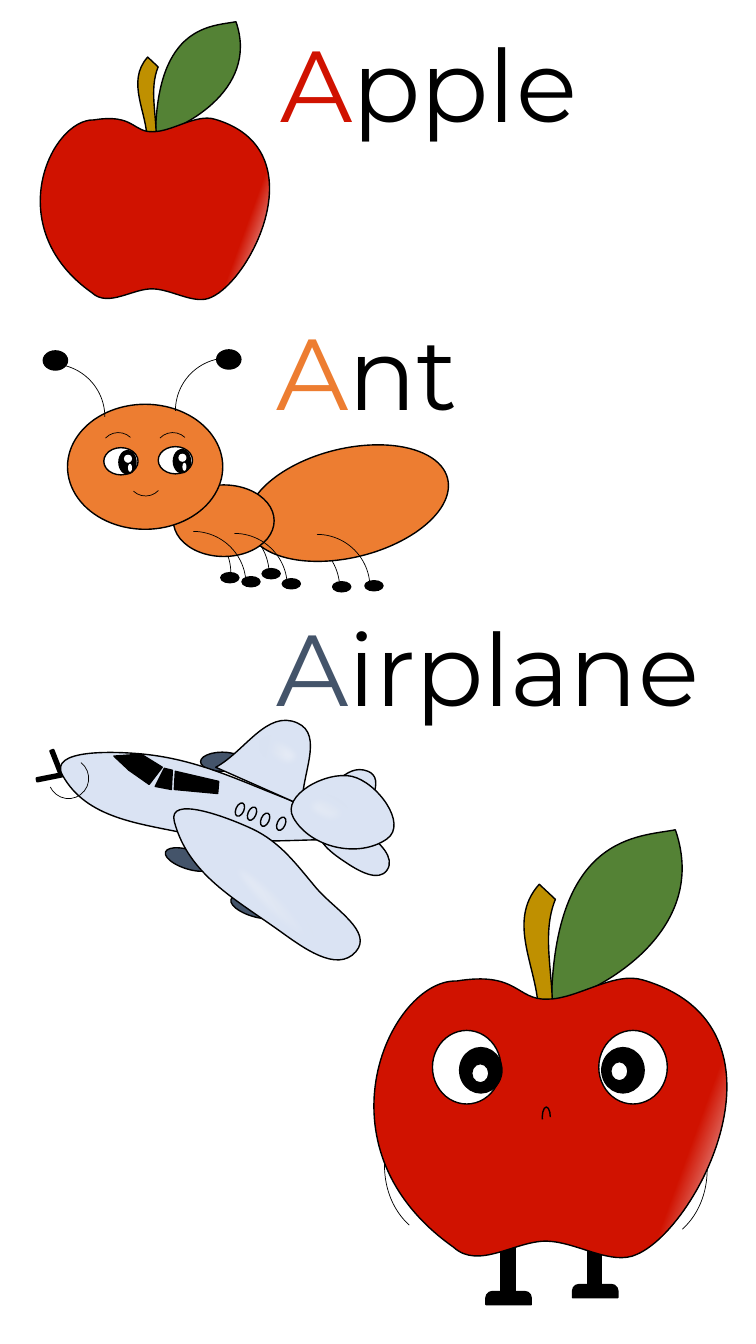
from math import dist, hypot
from lxml.etree import SubElement
from pptx import Presentation
from pptx.dml.color import RGBColor
from pptx.enum.shapes import MSO_SHAPE
from pptx.enum.text import MSO_AUTO_SIZE
from pptx.oxml.ns import qn
from pptx.util import Inches, Pt

BLACK = RGBColor(0x00, 0x00, 0x00)
WHITE = RGBColor(0xFF, 0xFF, 0xFF)
RED = RGBColor(0xD0, 0x12, 0x00)
GREEN = RGBColor(0x54, 0x82, 0x35)
GOLD = RGBColor(0xBF, 0x90, 0x00)
ORANGE = RGBColor(0xED, 0x7D, 0x31)
SLATE = RGBColor(0x44, 0x54, 0x6A)
SKY = RGBColor(0xDA, 0xE3, 0xF3)
PALE = RGBColor(0xF6, 0xF8, 0xFC)

OVAL, ARC, RECT = MSO_SHAPE.OVAL, MSO_SHAPE.ARC, MSO_SHAPE.RECTANGLE
ROUND, FOOT = MSO_SHAPE.ROUNDED_RECTANGLE, MSO_SHAPE.ROUND_2_SAME_RECTANGLE
PATH = "path"

WORDS = [
    ("A", "pple", RED, (2.68, 0.17, 3.43, 1.31)),
    ("A", "nt", ORANGE, (2.64, 3.02, 2.37, 1.28)),
    ("A", "irplane", SLATE, (2.64, 5.96, 4.82, 1.31)),
]

LEAF = [(5.47, 9.95), (5.5, 8.27, 6.34, 8.3, 6.7, 8.23), (7.07, 9.3, 5.81, 9.9, 5.47, 9.95)]
STEM = [(5.35, 8.77), (5.51, 8.92), (5.37, 9.26, 5.49, 9.66, 5.48, 10.03),
        (5.34, 10.05), (5.35, 9.62, 5.01, 9.15, 5.35, 8.77)]
SKIN = [(4.53, 9.73), (5.14, 9.63, 5.12, 9.92, 5.43, 9.91),
        (5.73, 9.91, 6.09, 9.63, 6.38, 9.72), (7.94, 10.18, 6.94, 12.17, 6.32, 12.44),
        (6.07, 12.56, 5.73, 12.32, 5.43, 12.31), (5.12, 12.3, 4.75, 12.6, 4.5, 12.37),
        (3.08, 11.37, 3.88, 9.71, 4.53, 9.73)]
FRUIT = [(PATH, LEAF, GREEN, {}), (PATH, STEM, GOLD, {}),
         (PATH, SKIN, (0.83, RED, PALE, 20), {})]
SCALE, BIG, SMALL = 1.54, (3.71, 9.7), (0.4, 1.17)

ARM = {"adj": (99.015, 0)}
EYES = [(4.29, 4.56, 4.68, 10.55), (5.94, 5.97, 6.06, 10.53)]
LEGS = [(5.83, 12.03), (4.97, 12.1)]

BACK = [(1.24, 5.16), (1.62, 5.17), (2.32, 5.31)]
FRONT = [(2.62, 5.3), (1.8, 5.29), (1.39, 5.27)]
FEET = [(2.19, 5.68), (2.4, 5.72), (2.6, 5.64), (2.8, 5.74), (3.3, 5.77), (3.62, 5.76)]
TIPS = [(2.15, 3.47), (0.43, 3.48)]
LOOKS = [(1.57, 4.43), (1.03, 4.44)]

HULL = [(3.59, 8.33), (2.81, 7.91), (1.42, 7.48), (0.62, 7.69), (1.86, 8.27)]
FIN = [(3.61, 8.22), (3.65, 7.65), (3.06, 8)]
FLAP = [(3.84, 8.63), (3.64, 8.27), (3.19, 8.2), (3.44, 8.56)]
FAR = [(3, 7.99), (2.95, 7.17), (2.14, 7.61)]
WING = [(3.53, 9.44), (3.14, 8.81), (2.5, 8.22), (1.73, 8.15), (2.77, 9.23)]
TAIL = [(3.49, 7.7), (2.91, 8.11), (3.84, 8.32)]
PANES = [
    [(2.17, 7.75), (1.74, 7.65), (1.73, 7.83), (2.16, 7.87)],
    [(1.7, 7.83), (1.54, 7.8), (1.63, 7.62), (1.71, 7.64)],
    [(1.61, 7.61), (1.4, 7.48), (1.13, 7.5), (1.28, 7.64), (1.48, 7.78)],
]
PORTS = [(2.75, 8.1), (2.59, 8.06), (2.46, 8), (2.34, 7.96)]
SHINES = [((3.09, 7.77, 0.31, 0.5), 103, 20), ((2.55, 8.35, 0.31, 1.22), 134.3, 20),
          ((2.62, 7.2, 0.31, 0.5), 292.3, 80)]


def smooth(knots, sharp=()):
    size, arms = len(knots), []
    for i, (x, y) in enumerate(knots):
        (px, py), (nx, ny) = knots[i - 1], knots[(i + 1) % size]
        span = hypot(nx - px, ny - py)
        arms.append(((nx - px) / span, (ny - py) / span))
    segs = [knots[0]]
    for i, start in enumerate(knots):
        j = (i + 1) % size
        end = knots[j]
        reach = dist(start, end) * 0.36
        chord = tuple((b - a) / dist(start, end) for a, b in zip(start, end))
        out, into = (chord if k in sharp else arms[k] for k in (i, j))
        segs.append((*(a + reach * d for a, d in zip(start, out)),
                     *(b - reach * d for b, d in zip(end, into)), *end))
    return segs


def spread(kind, spots, size, fill, **opts):
    return [(kind, (*spot, *size), fill, opts) for spot in spots]


def shrink(parts):
    return [(kind, [tuple(SMALL[i % 2] + (v - BIG[i % 2]) / SCALE for i, v in enumerate(seg))
                    for seg in segs], fill, opts) for kind, segs, fill, opts in parts]


def make_hero():
    parts = spread(RECT, LEGS, (0.14, 0.75), BLACK)
    parts += [(ARC, (3.67, 10.36, 2.38, 1.82), None, {"turn": 312.2, "flip": "flipH", **ARM}),
              (ARC, (4.78, 10.4, 2.38, 1.82), None, {"turn": 47.8, **ARM}), *FRUIT]
    for white, pupil, glint, top in EYES:
        parts += [(OVAL, (white, 10.22, 0.68, 0.73), WHITE, {}),
                  (OVAL, (pupil, 10.39, 0.42, 0.45), BLACK, {}),
                  (OVAL, (glint, top, 0.17, 0.19), WHITE, {})]
    parts.append((ARC, (5.38, 10.98, 0.08, 0.2), None,
                  {"adj": (90, -90), "line": 1}))
    return parts + spread(FOOT, [(x - 0.15, y + 0.71) for x, y in LEGS],
                          (0.45, 0.13), BLACK, adj=(0.5, 0))


def make_ant():
    leg, brow = (1.05, 1.05), (0.35, 0.35)
    parts = spread(ARC, BACK, leg, None)
    parts += [(OVAL, (2.43, 4.45, 2.04, 1.08), ORANGE, {"turn": 346.2}),
              (OVAL, (1.72, 4.81, 1, 0.71), ORANGE, {}),
              (OVAL, (0.67, 4.01, 1.54, 1.24), ORANGE, {})]
    parts += spread(ARC, FRONT, leg, None)
    parts += spread(ARC, [(1.74, 3.55)], leg, None, flip="flipH")
    parts += spread(ARC, [(-0.01, 3.61)], leg, None)
    parts += spread(OVAL, TIPS, (0.24, 0.19), BLACK)
    parts += spread(OVAL, FEET, (0.18, 0.1), BLACK)
    parts += spread(ARC, [(x - 0.03, 4.29) for x, y in LOOKS], brow, None, turn=43.5, flip="flipH")
    for x, y in LOOKS:
        parts += [(OVAL, (x, y, 0.34, 0.27), WHITE, {}),
                  (OVAL, (x + 0.15, y + 0.03, 0.17, 0.23), BLACK, {}),
                  (OVAL, (x + 0.2, y + 0.07, 0.08, 0.08), WHITE, {"line": 0}),
                  (OVAL, (x + 0.24, y + 0.16, 0.04, 0.08), WHITE, {"line": 0})]
    return parts + spread(ARC, [(1.27, 4.57)], brow, None, turn=43.5, flip="flipV")


def make_plane():
    blade, pod = (0.26, 0.04), (0.49, 0.19)
    parts = spread(ROUND, [(0.36, 7.69)], blade, BLACK, turn=348.7)
    parts += spread(ROUND, [(0.43, 7.54)], blade, BLACK, turn=68.5)
    parts += spread(OVAL, [(1.99, 7.46)], (0.43, 0.19), SLATE)
    for knots, sharp in ((HULL, (0,)), (FIN, (0, 2)), (FLAP, ()), (FAR, (0, 2))):
        parts.append((PATH, smooth(knots, sharp), SKY, {}))
    parts += spread(OVAL, [(1.63, 8.43), (2.28, 8.9)], pod, SLATE, turn=17.5)
    parts.append((PATH, smooth(WING), SKY, {}))
    parts += spread(OVAL, PORTS, (0.08, 0.14), SKY, turn=24)
    parts += [(PATH, pane, BLACK, {}) for pane in PANES]
    parts.append((ARC, (0.48, 7.52, 0.4, 0.4), None,
                  {"turn": 128.1, "flip": "flipH", "adj": (91.81, 0)}))
    parts.append((PATH, smooth(TAIL), SKY, {}))
    return parts + [(OVAL, box, (0.32, SKY, PALE, angle), {"turn": turn, "line": 0, "soft": 5})
                    for box, turn, angle in SHINES]


def add_path(shapes, segs):
    segs = [[(Inches(s[i]), Inches(s[i + 1])) for i in range(0, len(s), 2)] for s in segs]
    dots, last = [], segs[0][0]
    for seg in segs[1:]:
        if len(seg) == 3:
            knots = [last, *seg]
            for t in (n / 16 for n in range(1, 16)):
                mix = ((1 - t) ** 3, 3 * t * (1 - t) ** 2, 3 * t * t * (1 - t), t ** 3)
                dots.append(tuple(round(sum(m * k[i] for m, k in zip(mix, knots))) for i in (0, 1)))
        last = seg[-1]
        dots.append(last)
    form = shapes.build_freeform(*segs[0][0], scale=1.0)
    form.add_line_segments(dots, close=True)
    shape = form.convert_to_shape()
    route = shape._element.find(".//" + qn("a:path"))
    for node in list(route):
        route.remove(node)
    for i, seg in enumerate(segs):
        tag = "a:moveTo" if i == 0 else "a:cubicBezTo" if len(seg) == 3 else "a:lnTo"
        node = SubElement(route, qn(tag))
        for x, y in seg:
            SubElement(node, qn("a:pt"), x=str(x - shape.left), y=str(y - shape.top))
    SubElement(route, qn("a:close"))
    return shape


def paint(shape, fill, width, soft):
    shape.shadow.inherit = False
    if fill is None:
        shape.fill.background()
    elif isinstance(fill, RGBColor):
        shape.fill.solid()
        shape.fill.fore_color.rgb = fill
    else:
        start, near, far, angle = fill
        shape.fill.gradient()
        shape.fill.gradient_angle = 360 - angle
        for stop, place, hue in zip(shape.fill.gradient_stops, (start, 1), (near, far)):
            stop.position, stop.color.rgb = place, hue
    if width:
        shape.line.color.rgb = BLACK
        shape.line.width = Pt(width)
    else:
        shape.line.fill.background()
    if soft:
        SubElement(shape._element.spPr.find(qn("a:effectLst")), qn("a:softEdge"), rad=str(Pt(soft)))


def draw(slide, parts):
    group = slide.shapes.add_group_shape()
    for kind, geom, fill, opts in parts:
        if kind == PATH:
            shape = add_path(group.shapes, geom)
        else:
            shape = group.shapes.add_shape(kind, *map(Inches, geom))
            shape.rotation = opts.get("turn", 0)
            for i, value in enumerate(opts.get("adj", ())):
                shape.adjustments[i] = value
            if "flip" in opts:
                shape._element.spPr.xfrm.set(opts["flip"], "1")
        paint(shape, fill, opts.get("line", 0.5 if kind == ARC else 1), opts.get("soft"))


def write(slide, first, rest, hue, box):
    frame = slide.shapes.add_textbox(*map(Inches, box)).text_frame
    frame.word_wrap = True
    frame.auto_size = MSO_AUTO_SIZE.SHAPE_TO_FIT_TEXT
    para = frame.paragraphs[0]
    para.font.size, para.font.name = Pt(72), "Montserrat"
    for text, tint in ((first, hue), (rest, BLACK)):
        run = para.add_run()
        run.text = text
        run.font.color.rgb = tint


def main():
    deck = Presentation()
    deck.slide_width, deck.slide_height = Inches(7.5), Inches(13.33)
    slide = deck.slides.add_slide(deck.slide_layouts[6])
    draw(slide, make_hero())
    for parts, word in zip((shrink(FRUIT), make_ant(), make_plane()), WORDS):
        draw(slide, parts)
        write(slide, *word)
    deck.save("out.pptx")


if __name__ == "__main__":
    main()
